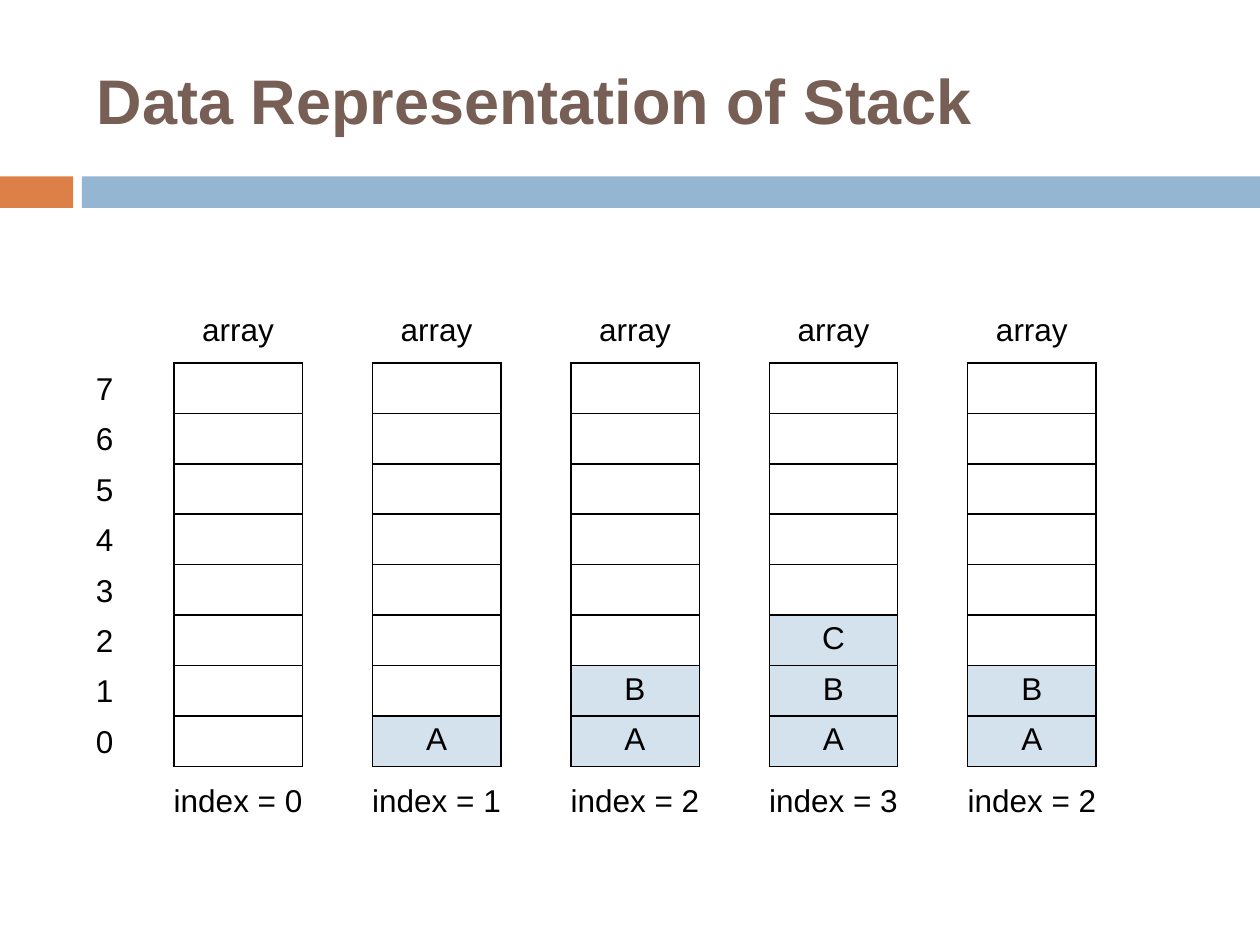
import dataclasses

import lxml.etree
import pptx
import pptx.dml.color
import pptx.enum.shapes
import pptx.enum.text
import pptx.oxml.ns
import pptx.util

Inches = pptx.util.Inches


@dataclasses.dataclass(frozen=True)
class Theme:
    """Colours and type sizes of the slide."""
    font: str = "Arial"
    title_color: str = "775F55"
    text_color: str = "000000"
    accent: str = "DD8047"
    band: str = "94B6D2"
    filled_cell: str = "D4E2ED"
    title_size: int = 36
    body_size: int = 18
    border_width: int = 1


THEME = Theme()
CENTER = pptx.enum.text.PP_ALIGN.CENTER
CAPACITY = 8
ROW_HEIGHT = 0.4
ARRAY_WIDTH = 1.02
ARRAY_LEFT = 1.38
ARRAY_TOP = 2.88
ARRAY_SPAN = 6.3
STACKS = ["", "A", "AB", "ABC", "AB"]


def rgb(color):
    """Return the colour object for a hex string."""
    return pptx.dml.color.RGBColor.from_string(color)


def format_runs(paragraph, size, color, bold=False):
    """Apply the theme font to every run of a paragraph."""
    for run in paragraph.runs:
        run.font.name = THEME.font
        run.font.size = pptx.util.Pt(size)
        run.font.bold = bold
        run.font.color.rgb = rgb(color)


def add_bar(slide, left, width, color):
    """Add one piece of the band under the title."""
    shape = slide.shapes.add_shape(
        pptx.enum.shapes.MSO_SHAPE.RECTANGLE,
        Inches(left), Inches(1.4), Inches(width), Inches(0.25))
    shape.shadow.inherit = False
    shape.fill.solid()
    shape.fill.fore_color.rgb = rgb(color)
    shape.line.fill.background()


def add_text(slide, text, left, top, width, height):
    """Add a wrapping text box and return its text frame."""
    shape = slide.shapes.add_textbox(
        Inches(left), Inches(top), Inches(width), Inches(height))
    text_frame = shape.text_frame
    text_frame.word_wrap = True
    text_frame.text = text
    return text_frame


def add_title(slide, text):
    """Add the slide title."""
    text_frame = add_text(slide, text, 0.67, 0.25, 8.92, 1.08)
    text_frame.vertical_anchor = pptx.enum.text.MSO_ANCHOR.MIDDLE
    format_runs(text_frame.paragraphs[0], THEME.title_size,
                THEME.title_color, bold=True)


def add_label(slide, text, center, top):
    """Add a label centred on a horizontal position."""
    width = 1.26
    text_frame = add_text(slide, text, center - width / 2, top, width, 0.4)
    paragraph = text_frame.paragraphs[0]
    paragraph.alignment = CENTER
    format_runs(paragraph, THEME.body_size, THEME.text_color)


def add_borders(cell):
    """Draw a solid line on all four sides of a cell."""
    properties = cell._tc.get_or_add_tcPr()
    qn = pptx.oxml.ns.qn
    for side in ("a:lnL", "a:lnR", "a:lnT", "a:lnB"):
        line = lxml.etree.SubElement(
            properties, qn(side), w=str(pptx.util.Pt(THEME.border_width)))
        fill = lxml.etree.SubElement(line, qn("a:solidFill"))
        lxml.etree.SubElement(fill, qn("a:srgbClr"), val=THEME.text_color)


def fill_cell(cell, item):
    """Style a cell and show the stacked item, if there is one."""
    add_borders(cell)
    if not item:
        cell.fill.background()
        return
    cell.fill.solid()
    cell.fill.fore_color.rgb = rgb(THEME.filled_cell)
    cell.text_frame.text = item
    paragraph = cell.text_frame.paragraphs[0]
    paragraph.alignment = CENTER
    format_runs(paragraph, THEME.body_size, THEME.text_color)


def add_array(slide, items, left):
    """Add one array with its heading and its index caption."""
    table = slide.shapes.add_table(
        CAPACITY, 1, Inches(left), Inches(ARRAY_TOP),
        Inches(ARRAY_WIDTH), Inches(ROW_HEIGHT * CAPACITY)).table
    table.first_row = False
    table.horz_banding = False
    for position, item in enumerate(items.ljust(CAPACITY)):
        fill_cell(table.cell(CAPACITY - 1 - position, 0), item.strip())
    center = left + ARRAY_WIDTH / 2
    add_label(slide, "array", center, 2.41)
    add_label(slide, f"index = {len(items)}", center, 6.15)


def main():
    """Build the slide and save it."""
    presentation = pptx.Presentation()
    presentation.slide_width = Inches(10)
    presentation.slide_height = Inches(7.5)
    slide = presentation.slides.add_slide(presentation.slide_layouts[6])
    add_bar(slide, 0, 0.58, THEME.accent)
    add_bar(slide, 0.65, 9.35, THEME.band)
    add_title(slide, "Data Representation of Stack")
    for position in range(CAPACITY):
        top = ARRAY_TOP + ROW_HEIGHT * (CAPACITY - 1 - position)
        add_label(slide, str(position), 0.83, top)
    pitch = ARRAY_SPAN / (len(STACKS) - 1)
    for number, items in enumerate(STACKS):
        add_array(slide, items, ARRAY_LEFT + number * pitch)
    presentation.save("out.pptx")


if __name__ == "__main__":
    main()
